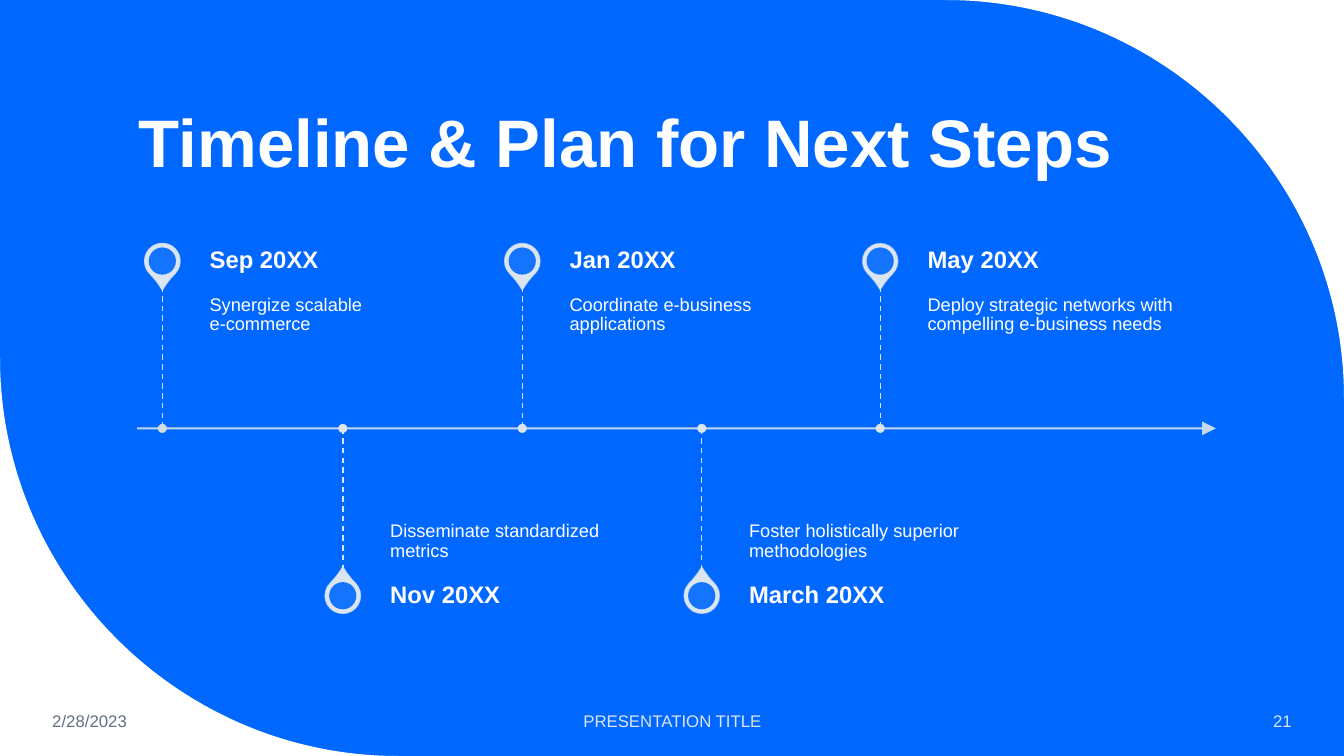
from lxml import etree
from pptx import Presentation
from pptx.dml.color import RGBColor
from pptx.enum.dml import MSO_LINE
from pptx.enum.shapes import MSO_CONNECTOR, MSO_SHAPE
from pptx.enum.text import MSO_ANCHOR, PP_ALIGN
from pptx.oxml.ns import qn
from pptx.util import Inches, Pt

BLUE = RGBColor(0x00, 0x68, 0xFF)
WHITE = RGBColor(0xFF, 0xFF, 0xFF)
PALE = RGBColor(0xDA, 0xE5, 0xEF)
PALE_SHADE = RGBColor(0xD0, 0xDB, 0xE4)
SLATE = RGBColor(0x63, 0x71, 0x83)

OVAL, TEARDROP = MSO_SHAPE.OVAL, MSO_SHAPE.TEAR
STRAIGHT, DASH = MSO_CONNECTOR.STRAIGHT, MSO_LINE.DASH
TOP, MIDDLE, BOTTOM = MSO_ANCHOR.TOP, MSO_ANCHOR.MIDDLE, MSO_ANCHOR.BOTTOM
LEFT, CENTER, RIGHT = PP_ALIGN.LEFT, PP_ALIGN.CENTER, PP_ALIGN.RIGHT

WIDTH, HEIGHT = 13.33, 7.5
CORNER_RADIUS = 3.95
CURVE_PULL = 0.55
AXIS_Y = 4.25
STEM, DATE_HEIGHT = 1.41, 0.5
PIN_DISTANCE = 1.66
TEXT_OFFSET, TEXT_WIDTH = 0.47, 2.53
FOOTER_Y, FOOTER_HEIGHT = 6.95, 0.4
DEFAULT_INSETS = (0.1, 0.05, 0.1, 0.05)

# Place on the axis, date, lines of the step, opacity of the pin outline, dot colour
MILESTONES = [
    (1.61, "Sep 20XX", ["Synergize scalable", "e-commerce"], 90, PALE_SHADE),
    (3.4, "Nov 20XX", ["Disseminate standardized metrics"], 80, PALE),
    (5.18, "Jan 20XX", ["Coordinate e-business applications"], 70, PALE),
    (6.96, "March 20XX", ["Foster holistically superior methodologies"], 60, PALE),
    (8.73, "May 20XX", ["Deploy strategic networks with compelling e-business needs"],
     50, PALE),
]


def set_opacity(fill, percent):
    """Make a solid fill, of a shape or of a line, partly transparent."""
    color = fill._xPr.find(qn("a:solidFill"))[0]
    etree.SubElement(color, qn("a:alpha")).set("val", str(percent * 1000))


def add_text(parent, box, lines, size, color, bold=False, anchor=MIDDLE,
             align=LEFT, insets=DEFAULT_INSETS, spacing=1.0):
    frame = parent.shapes.add_textbox(*map(Inches, box)).text_frame
    frame.word_wrap = True
    frame.vertical_anchor = anchor
    (frame.margin_left, frame.margin_top,
     frame.margin_right, frame.margin_bottom) = map(Inches, insets)
    paragraph = frame.paragraphs[0]
    paragraph.alignment = align
    paragraph.line_spacing = spacing
    for index, line in enumerate(lines):
        if index:
            paragraph.add_line_break()
        run = paragraph.add_run()
        run.text = line
        run.font.name = "Arial"
        run.font.size = Pt(size)
        run.font.bold = bold
        run.font.color.rgb = color


def add_line(parent, start, end, weight):
    line = parent.shapes.add_connector(STRAIGHT, *map(Inches, start + end))
    line.line.color.rgb = PALE
    line.line.width = Pt(weight)
    etree.SubElement(line._element.spPr, qn("a:effectLst"))
    return line.line


def paint(shape, color):
    """Give a shape a plain fill, without outline or shadow."""
    shape.shadow.inherit = False
    shape.fill.solid()
    shape.fill.fore_color.rgb = color
    shape.line.fill.background()


def add_centered(parent, kind, x, y, size, color):
    """Add a preset shape around the point x, y."""
    shape = parent.shapes.add_shape(
        kind, Inches(x - size / 2), Inches(y - size / 2), Inches(size), Inches(size))
    paint(shape, color)
    return shape


def add_corner(slide, corner, start, end):
    """Fill the area between a slide corner and a quarter circle."""
    builder = slide.shapes.build_freeform(*map(Inches, corner))
    builder.add_line_segments(
        [tuple(map(Inches, point)) for point in (start, end)], close=True)
    shape = builder.convert_to_shape()
    paint(shape, WHITE)

    # Turn the straight side between start and end into one Bezier curve
    side = shape._element.findall(".//" + qn("a:lnTo"))[1]
    curve = etree.Element(qn("a:cubicBezTo"))
    controls = [[a + CURVE_PULL * (c - a) for a, c in zip(point, corner)]
                for point in (start, end)]
    for x, y in controls + [end]:
        point = etree.SubElement(curve, qn("a:pt"))
        point.set("x", str(Inches(x) - shape.left))
        point.set("y", str(Inches(y) - shape.top))
    side.getparent().replace(side, curve)


def add_axis(parent):
    axis = add_line(parent, (1.36, AXIS_Y), (12.06, AXIS_Y), 1.5)
    set_opacity(axis.fill, 90)
    arrowhead = etree.SubElement(axis._ln, qn("a:tailEnd"))
    for name, value in (("type", "triangle"), ("w", "lg"), ("len", "lg")):
        arrowhead.set(name, value)


def add_pin(parent, x, y, rotation, opacity):
    drop = add_centered(parent, TEARDROP, x, y, 0.35, PALE)
    drop.adjustments[0] = 1.15
    drop.rotation = rotation
    drop.line.color.rgb = PALE
    drop.line.width = Pt(1)
    set_opacity(drop.line.fill, opacity)
    hole = add_centered(parent, OVAL, x, y, 0.27, BLUE)
    set_opacity(hole.fill, 90)


def add_milestone(parent, above, x, date, step, opacity, dot_color):
    text_x = x + TEXT_OFFSET
    if above:
        side, rotation, anchor = -1, 135, TOP
        step_y, date_y = AXIS_Y - STEM, AXIS_Y - STEM - DATE_HEIGHT
        insets = (0, 0.09, 0.09, 0.14)
    else:
        side, rotation, anchor = 1, 315, BOTTOM
        step_y, date_y = AXIS_Y, AXIS_Y + STEM
        insets = (0, 0.14, 0, 0.09)
    add_pin(parent, x, AXIS_Y + side * PIN_DISTANCE, rotation, opacity)
    add_text(parent, (text_x, step_y, TEXT_WIDTH, STEM), step, 13, WHITE,
             anchor=anchor, insets=insets, spacing=0.9)
    add_text(parent, (text_x, date_y, TEXT_WIDTH, DATE_HEIGHT), [date], 17, WHITE,
             bold=True, insets=(0, 0, 0.12, 0), spacing=0.9)
    stem = add_line(parent, (x, step_y), (x, step_y + STEM), 1)
    stem.dash_style = DASH
    add_centered(parent, OVAL, x, AXIS_Y, 0.09, dot_color)


def add_footer(slide):
    for left, width, text, color, align in [
        (0.42, 1.86, "2/28/2023", SLATE, LEFT),
        (4.42, 4.5, "PRESENTATION TITLE", PALE, CENTER),
        (11.1, 1.81, "21", PALE, RIGHT),
    ]:
        add_text(slide, (left, FOOTER_Y, width, FOOTER_HEIGHT), [text], 12, color,
                 align=align)


def main():
    presentation = Presentation()
    presentation.slide_width = Inches(WIDTH)
    presentation.slide_height = Inches(HEIGHT)
    slide = presentation.slides.add_slide(presentation.slide_layouts[6])
    slide.background.fill.solid()
    slide.background.fill.fore_color.rgb = BLUE

    add_corner(slide, (WIDTH, 0), (WIDTH - CORNER_RADIUS, 0), (WIDTH, CORNER_RADIUS))
    add_corner(slide, (0, HEIGHT), (CORNER_RADIUS, HEIGHT), (0, HEIGHT - CORNER_RADIUS))
    add_text(slide, (1.28, 0.41, 10.69, 1.45), ["Timeline & Plan for Next Steps"],
             48, WHITE, bold=True, anchor=BOTTOM, spacing=0.9)
    add_footer(slide)
    timeline = slide.shapes.add_group_shape()
    add_axis(timeline)
    for index, milestone in enumerate(MILESTONES):
        add_milestone(timeline, index % 2 == 0, *milestone)
    presentation.save("out.pptx")


if __name__ == "__main__":
    main()
